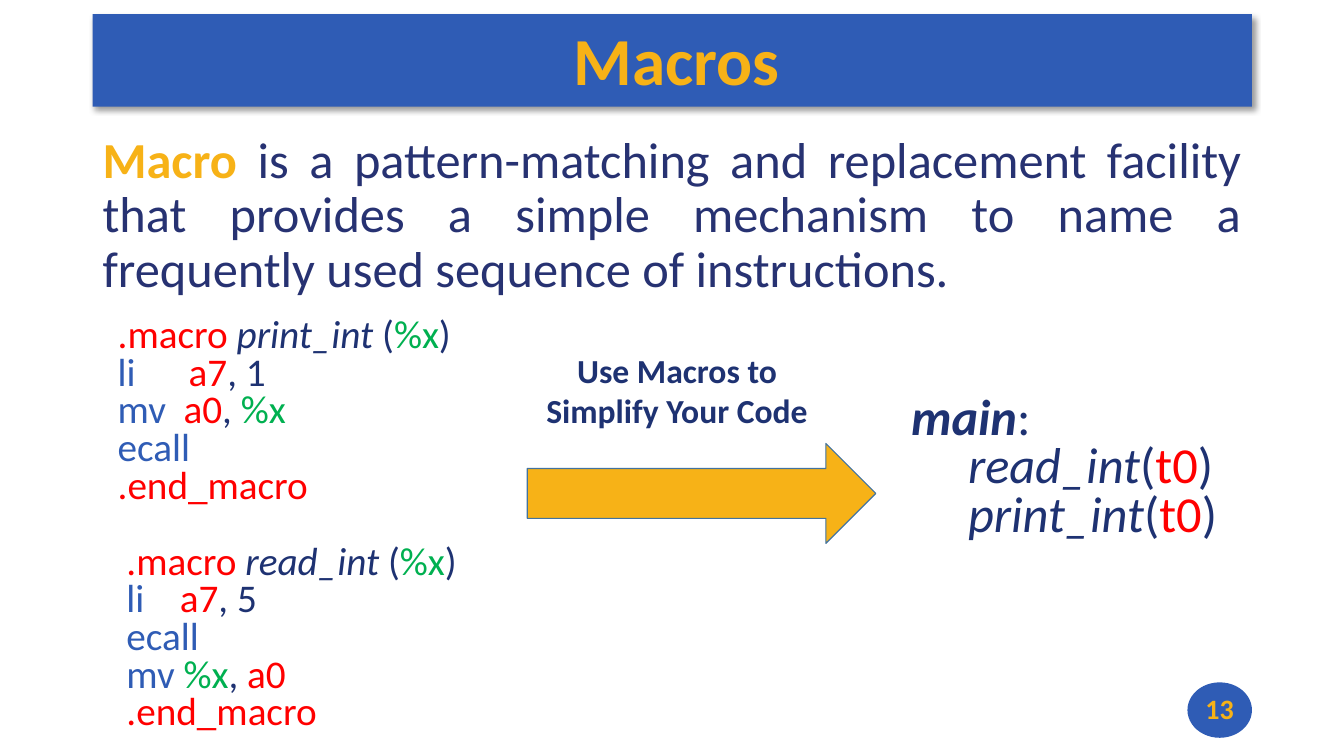
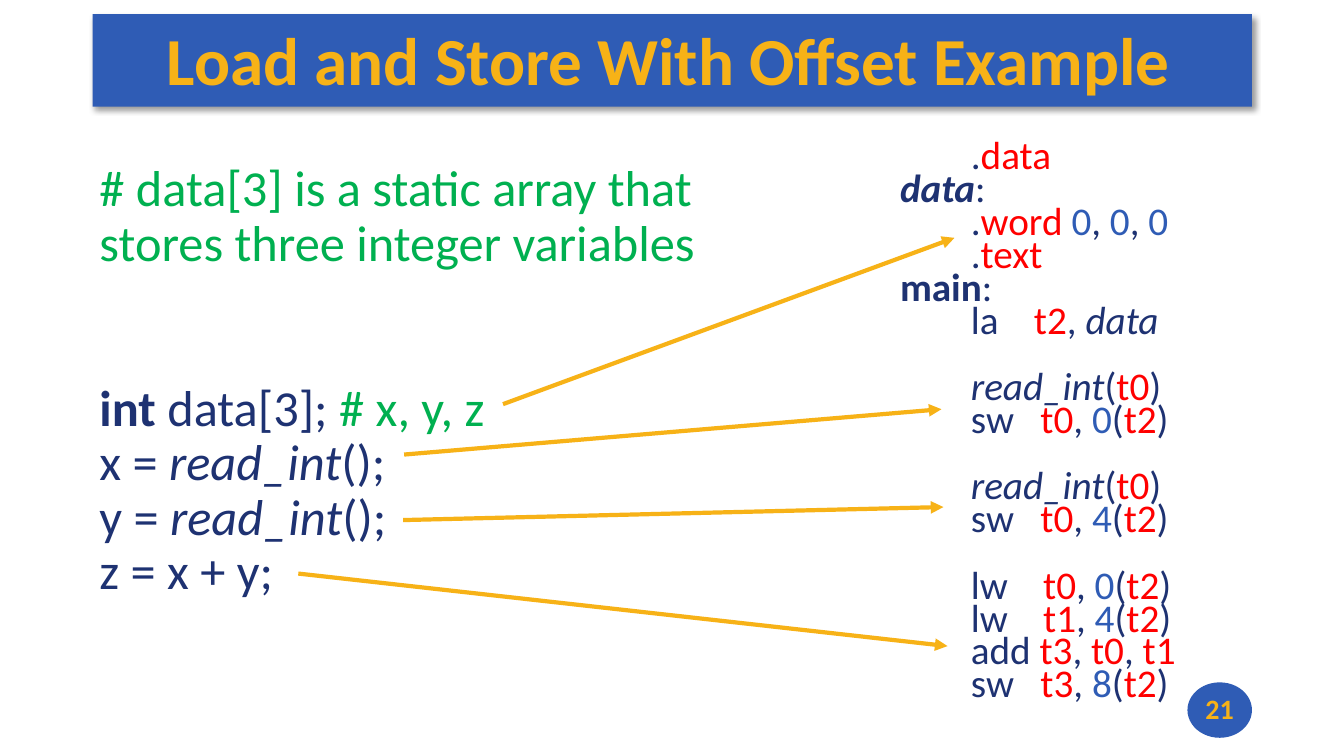
from lxml import etree
from pptx import Presentation
from pptx import util as u
from pptx.dml import color
from pptx.enum import shapes, text
from pptx.oxml import ns

FONT = "Calibri"
NAVY, BLUE, GOLD = "1E3272", "2F5CB5", "F7B217"
RED, GREEN, INDIGO = "FF0000", "00B050", "273272"
LINE_HEIGHT = 1.22  # natural line height of the font, in ems

# Run style: colour, bold, italic
STYLES = {
    "navy": (NAVY, False, False),
    "bold": (NAVY, True, False),
    "ital": (NAVY, False, True),
    "both": (NAVY, True, True),
    "blue": (BLUE, False, False),
    "red": (RED, False, False),
    "green": (GREEN, False, False),
    "indigo": (INDIGO, False, False),
    "gold": (GOLD, True, False),
}


def rgb(value):
    return color.RGBColor.from_string(value)


def write(tf, lines, size, spacing=1.0, align="LEFT", **frame):
    """Fill a text frame; a line is "style:text|style:text", "" a gap of one line."""
    tf.word_wrap = True
    for name, value in frame.items():
        setattr(tf, name, value)
    p, gap = None, 0
    for line in lines:
        if not line:
            gap += size * LINE_HEIGHT * spacing
            continue
        p = tf.add_paragraph() if p is not None else tf.paragraphs[0]
        p.alignment = text.PP_ALIGN[align]
        p.line_spacing = spacing
        p.space_before, gap = u.Pt(gap), 0
        for part in line.split("|"):
            style, _, words = part.partition(":")
            fill, bold, italic = STYLES[style]
            r = p.add_run()
            r.text = words
            r.font.color.rgb = rgb(fill)
            for name, value in {"name": FONT, "size": u.Pt(size),
                                "bold": bold, "italic": italic}.items():
                setattr(r.font, name, value)


SLIDES = [
    {
        "title": "Macros",
        "number": 13,
        "texts": [
            ((66.2, 92.9, 828, 124.6), 36, 0.9, "JUSTIFY", [
                "gold:Macro|indigo: is a pattern-matching and replacement facility "
                "that provides a simple mechanism to name a frequently used "
                "sequence of instructions.",
            ]),
            ((77, 224, 288, 306.7), 28, 0.8, "LEFT", [
                "red:.macro |ital:print_int|navy: (|green:%x|navy:)",
                "blue:li      |red:a7|navy:, 1",
                "blue:mv  |red:a0|navy:, |green:%x",
                "blue:ecall",
                "red:.end_macro",
                "",
                "red: .macro |ital:read_int|navy: (|green:%x|navy:)",
                "blue: li    |red:a7|navy:, 5",
                "blue: ecall",
                "blue: mv |green:%x|navy:, |red:a0",
                "red: .end_macro",
            ]),
            ((643.7, 280, 247, 113), 36, 0.8, "LEFT", [
                "both:main|navy::",
                "navy:     |ital:read_int|navy:(|red:t0|navy:)",
                "navy:     |ital:print_int|navy:(|red:t0|navy:)",
            ]),
        ],
    },
    {
        "title": "Load and Store With Offset Example ",
        "number": 21,
        "texts": [
            ((635.8, 98.6, 242, 411), 28, 0.7, "LEFT", [
                "navy:        .|red:data",
                "both:data|navy::",
                "navy:        .|red:word |blue:0|navy:, |blue:0|navy:, |blue:0",
                "navy:        .|red:text",
                "bold:main|navy::",
                "navy:        la    |red:t2|navy:, |ital:data",
                "",
                "navy:        |ital:read_int|navy:(|red:t0|navy:)",
                "navy:        sw   |red:t0|navy:, |blue:0|navy:(|red:t2|navy:)",
                "",
                "navy:        |ital:read_int|navy:(|red:t0|navy:)",
                "navy:        sw   |red:t0|navy:, |blue:4|navy:(|red:t2|navy:)",
                "",
                "navy:        lw    |red:t0|navy:, |blue:0|navy:(|red:t2|navy:)",
                "navy:        lw    |red:t1|navy:, |blue:4|navy:(|red:t2|navy:)",
                "navy:        add |red:t3|navy:, |red:t0|navy:, |red:t1",
                "navy:        sw   |red:t3|navy:, |blue:8|navy:(|red:t2|navy:)",
            ]),
            ((64, 113, 462, 321), 36, 0.9, "LEFT", [
                "green:# data[3] is a static array that stores three integer variables",
                "",
                "",
                "bold:int |navy:data[3]; |green:# x, y, z",
                "navy:x = |ital:read_int|navy:();",
                "navy:y = |ital:read_int|navy:();",
                "navy:z = x + y;",
            ]),
        ],
    },
]

prs = Presentation()
prs.slide_width, prs.slide_height = u.Pt(960), u.Pt(540)
MIDDLE = text.MSO_ANCHOR.MIDDLE

for content in SLIDES:
    s = prs.slides.add_slide(prs.slide_layouts[6])

    band = s.shapes.add_shape(shapes.MSO_SHAPE.RECTANGLE,
                              *map(u.Pt, (66.2, 10, 828, 66.2)))
    badge = s.shapes.add_shape(shapes.MSO_SHAPE.OVAL,
                               *map(u.Pt, (848.2, 487.4, 46.1, 39.6)))
    for sp in (band, badge):
        sp.fill.solid()
        sp.fill.fore_color.rgb = rgb(BLUE)
        sp.line.fill.background()
        sp.shadow.inherit = False
    effects = band._element.spPr.find(ns.qn("a:effectLst"))
    shadow = etree.SubElement(effects, ns.qn("a:outerShdw"), blurRad=str(u.Pt(4)),
                              dist=str(u.Pt(3)), dir="2700000", algn="tl")
    black = etree.SubElement(shadow, ns.qn("a:srgbClr"), val="000000")
    etree.SubElement(black, ns.qn("a:alpha"), val="40000")

    write(band.text_frame, ["gold:" + content["title"]], 48, align="CENTER",
          vertical_anchor=MIDDLE, margin_left=u.Pt(6), margin_right=0,
          margin_top=u.Pt(2), margin_bottom=u.Pt(5))
    write(badge.text_frame, [f"gold:{content['number']}"], 20, align="CENTER",
          vertical_anchor=MIDDLE, margin_left=0, margin_right=0,
          margin_top=0, margin_bottom=u.Pt(2))

    for box, size, spacing, align, lines in content["texts"]:
        tb = s.shapes.add_textbox(*map(u.Pt, box))
        write(tb.text_frame, lines, size, spacing, align)

macros, offsets = prs.slides

# Macros: block arrow and its label
arrow = macros.shapes.add_shape(shapes.MSO_SHAPE.RIGHT_ARROW,
                                *map(u.Pt, (376.6, 316.8, 249, 71.3)))
arrow.shadow.inherit = False
arrow.fill.solid()
arrow.fill.fore_color.rgb = rgb(GOLD)
arrow.line.color.rgb = rgb("43739E")
arrow.line.width = u.Pt(0.85)

label = macros.shapes.add_shape(shapes.MSO_SHAPE.RECTANGLE,
                                *map(u.Pt, (382.3, 242.6, 196.6, 72)))
label.shadow.inherit = False
label.fill.solid()
label.fill.fore_color.rgb = rgb("FFFFFF")
label.line.fill.background()
write(label.text_frame, ["bold:Use Macros to Simplify Your Code"], 24,
      align="CENTER", vertical_anchor=MIDDLE, margin_left=u.Pt(6),
      margin_right=0, margin_top=u.Pt(2), margin_bottom=u.Pt(2))

# Offsets: each source line points to its assembly code
for ends in [
    (359.3, 288.7, 681.8, 169.9),
    (288.7, 324.7, 672.5, 292.3),
    (288, 371.5, 673.9, 362.2),
    (213.1, 409.7, 676.8, 461.5),
]:
    link = offsets.shapes.add_connector(shapes.MSO_CONNECTOR.STRAIGHT,
                                        *map(u.Pt, ends))
    link.line.color.rgb = rgb(GOLD)
    link.line.width = u.Pt(3)
    props = link._element.spPr
    etree.SubElement(props.find(ns.qn("a:ln")), ns.qn("a:tailEnd"), type="triangle")
    etree.SubElement(props, ns.qn("a:effectLst"))

prs.save("out.pptx")
